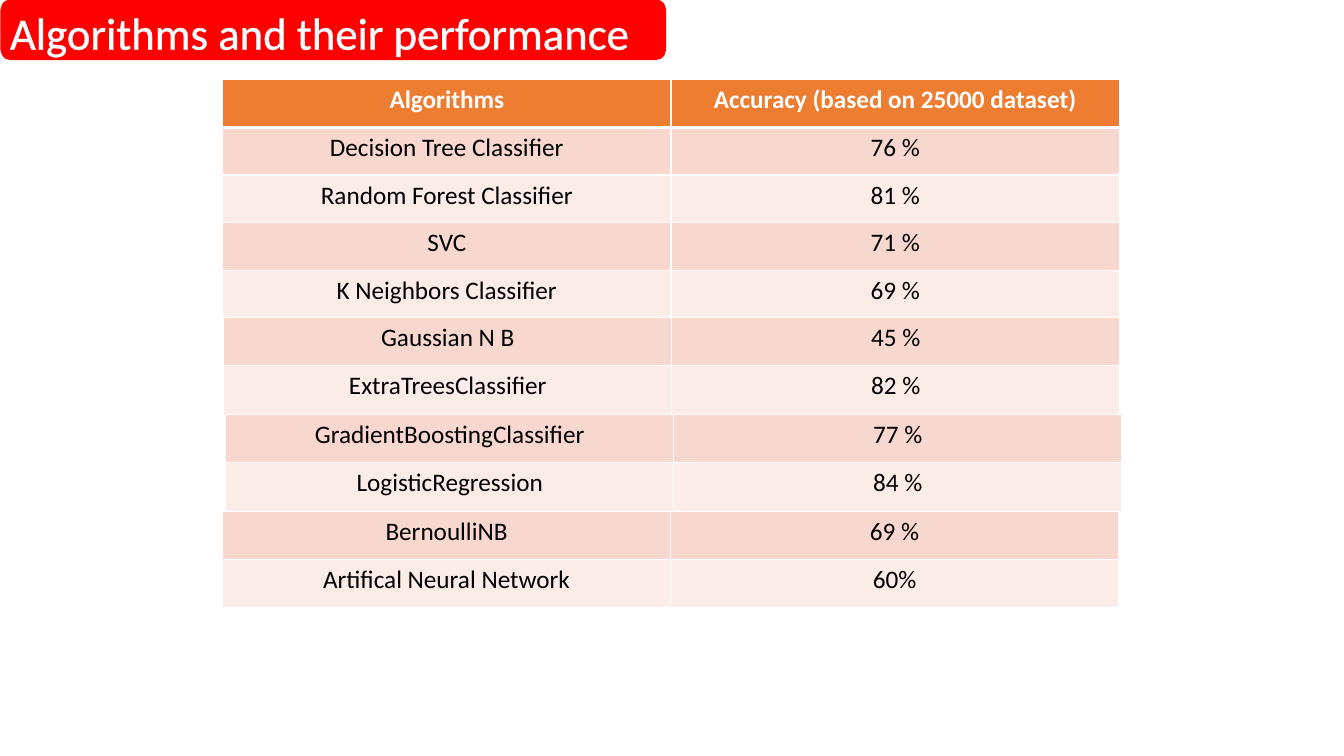
from lxml.etree import SubElement
from pptx import Presentation
from pptx.dml.color import RGBColor
from pptx.enum.shapes import MSO_SHAPE
from pptx.enum.text import MSO_AUTO_SIZE, PP_ALIGN
from pptx.oxml.ns import qn
from pptx.util import Cm, Pt

WHITE = RGBColor(0xFF, 0xFF, 0xFF)
BLACK = RGBColor(0x00, 0x00, 0x00)
RED = RGBColor(0xFF, 0x00, 0x00)
ORANGE = RGBColor(0xED, 0x7D, 0x31)
BANDS = (RGBColor(0xF8, 0xD7, 0xCE), RGBColor(0xFC, 0xEC, 0xE8))

TITLE = "Algorithms and their performance"
HEADER = ("Algorithms", "Accuracy (based on 25000 dataset)")
# Each table: left, top, column width, row height (cm), header, body rows
TABLES = [
    (5.61, 2.01, 11.3, 1.2, HEADER, [
        ("Decision Tree Classifier", "76 %"),
        ("Random Forest Classifier", "81 %"),
        ("SVC", "71 %"),
        ("K Neighbors Classifier", "69 %"),
    ]),
    (5.64, 8.0, 11.29, 1.22, None, [
        ("Gaussian N B", "45 %"),
        ("ExtraTreesClassifier", "82 %"),
    ]),
    (5.69, 10.44, 11.29, 1.22, None, [
        ("GradientBoostingClassifier", "77 %"),
        ("LogisticRegression", "84 %"),
    ]),
    (5.61, 12.88, 11.29, 1.22, None, [
        ("BernoulliNB", "69 %"),
        ("Artifical Neural Network", "60%"),
    ]),
]
TITLE_FORMAT = {"name": "Calibri", "size": Pt(32)}
HEADER_FORMAT = {"name": "Calibri", "size": Pt(18), "bold": True}
BODY_FORMAT = {"name": "Calibri", "size": Pt(18), "bold": False}


def write(paragraph, text, font_format, color):
    """Add a formatted run to a paragraph and return it."""
    run = paragraph.add_run()
    run.text = text
    for name, value in font_format.items():
        setattr(run.font, name, value)
    run.font.color.rgb = color
    return run


def add_line(parent, tag, points, color):
    """Append a solid line element to drawing properties."""
    line = SubElement(parent, qn(tag), w=str(Pt(points)))
    fill = SubElement(line, qn("a:solidFill"))
    SubElement(fill, qn("a:srgbClr"), val=str(color))
    return line


def add_title(slide):
    """Draw the red banner and the outlined title over it."""
    banner = slide.shapes.add_shape(
        MSO_SHAPE.ROUNDED_RECTANGLE, Cm(0.03), Cm(0), Cm(16.74), Cm(1.5))
    banner.shadow.inherit = False
    banner.fill.solid()
    banner.fill.fore_color.rgb = RED
    banner.line.color.rgb = RED
    banner.line.width = Pt(1)

    box = slide.shapes.add_textbox(Cm(0), Cm(0), Cm(18.95), Cm(1.63))
    box.text_frame.word_wrap = True
    box.text_frame.auto_size = MSO_AUTO_SIZE.SHAPE_TO_FIT_TEXT
    run = write(box.text_frame.paragraphs[0], TITLE, TITLE_FORMAT, WHITE)
    properties = run.font._element
    properties.insert(0, add_line(properties, "a:ln", 1.45, WHITE))


def fill_cell(cell, text, font_format, color, background, bottom):
    """Write one centred cell with white borders and a solid fill."""
    paragraph = cell.text_frame.paragraphs[0]
    paragraph.alignment = PP_ALIGN.CENTER
    write(paragraph, text, font_format, color)
    properties = cell._tc.get_or_add_tcPr()
    for side, points in (("L", 1), ("R", 1), ("T", 1), ("B", bottom)):
        add_line(properties, f"a:ln{side}", points, WHITE)
    cell.fill.solid()
    cell.fill.fore_color.rgb = background


def add_results(slide, left, top, column_width, row_height, header, body):
    """Draw one block of the results, with alternating row colours."""
    rows = [(row, BODY_FORMAT, BLACK, BANDS[index % 2], 1)
            for index, row in enumerate(body)]
    if header:
        rows.insert(0, (header, HEADER_FORMAT, WHITE, ORANGE, 3))
    table = slide.shapes.add_table(
        len(rows), len(HEADER), Cm(left), Cm(top),
        Cm(column_width * len(HEADER)), Cm(row_height * len(rows))).table
    table.first_row = table.horz_banding = False
    for column in table.columns:
        column.width = Cm(column_width)
    for row_index, (texts, *style) in enumerate(rows):
        table.rows[row_index].height = Cm(row_height)
        for column_index, text in enumerate(texts):
            fill_cell(table.cell(row_index, column_index), text, *style)


presentation = Presentation()
presentation.slide_width, presentation.slide_height = Cm(33.87), Cm(19.05)
slide = presentation.slides.add_slide(presentation.slide_layouts[6])
add_title(slide)
for results in TABLES:
    add_results(slide, *results)
presentation.save("out.pptx")
